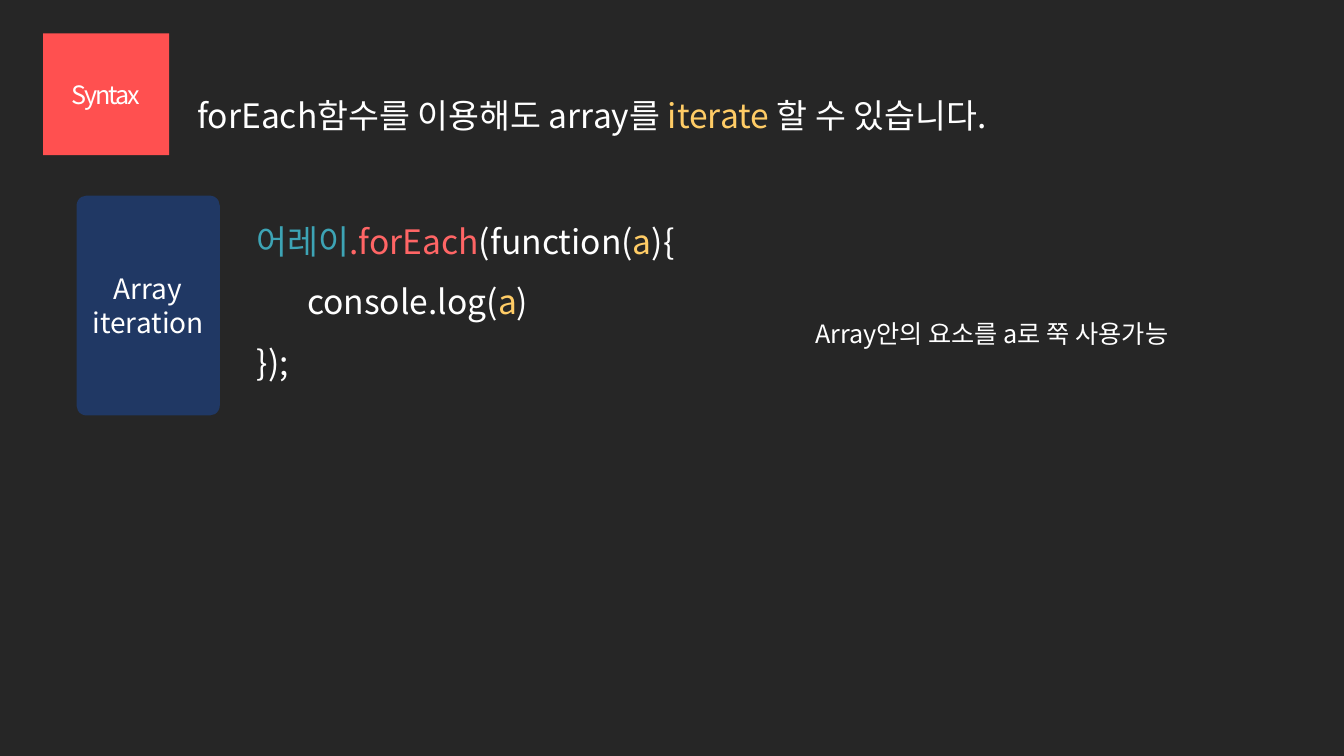
"""Build a slide that explains array iteration with forEach."""
from dataclasses import dataclass
from typing import Any

import lxml.etree
import pptx
import pptx.dml.color
import pptx.enum.shapes
import pptx.enum.text
import pptx.oxml.ns
import pptx.util

Cm = pptx.util.Cm
Pt = pptx.util.Pt
ANCHOR = pptx.enum.text.MSO_ANCHOR
ALIGN = pptx.enum.text.PP_ALIGN
FIT = pptx.enum.text.MSO_AUTO_SIZE

FONT = "Noto Sans CJK KR"
WHITE, YELLOW, TEAL, CORAL = "FFFFFF", "FFCC66", "3DA4B5", "FF6565"
RED, NAVY, DARK = "FF5050", "203864", "262626"

Line = list[tuple[str, str]]


@dataclass
class Block:
    box: tuple[float, float, float, float]
    lines: list[Line]
    size: int
    spacing: float = 1.0
    grow: bool = False


@dataclass
class Badge(Block):
    fill: str = NAVY
    radius: float = 0.0
    tracking: int = 0


TITLE = Block(
    (4.72, 1.75, 25.96, 2.46),
    [[("forEach함수를 이용해도 array를 ", WHITE), ("iterate ", YELLOW), ("할 수 있습니다.", WHITE)]],
    24, 1.5)
BLOCKS = [
    Badge((1.93, 4.93, 3.61, 5.54), [[("Array", WHITE)], [("iteration", WHITE)]], 20, radius=0.07),
    Block(
        (6.22, 4.93, 16.94, 4.88),
        [[("어레이", TEAL), (".forEach", CORAL), ("(function(", WHITE), ("a", YELLOW), ("){", WHITE)],
         [("\tconsole.log(", WHITE), ("a", YELLOW), (")", WHITE)],
         [("});", WHITE)]],
        24, 1.5, True),
    Block((20.29, 7.9, 9.58, 1.02), [[("Array안의 요소를 a로 쭉 사용가능", WHITE)]], 18, grow=True),
    Badge((1.09, 0.84, 3.17, 3.07), [[("Syntax", WHITE)]], 18, fill=RED, tracking=-150),
]


def rgb(value: str) -> pptx.dml.color.RGBColor:
    """Turn a hex string into a colour."""
    return pptx.dml.color.RGBColor.from_string(value)


def set_all(target: Any, values: dict[str, Any]) -> None:
    """Set each named attribute on the target."""
    for name, value in values.items():
        setattr(target, name, value)


def write(sp: Any, block: Block) -> None:
    """Fill a shape with the formatted lines of a block."""
    badge = isinstance(block, Badge)
    tf = sp.text_frame
    set_all(tf, {
        "word_wrap": True,
        "vertical_anchor": ANCHOR.MIDDLE if badge else ANCHOR.TOP,
        "auto_size": FIT.SHAPE_TO_FIT_TEXT if block.grow else FIT.NONE,
    })
    for i, line in enumerate(block.lines):
        p = tf.add_paragraph() if i else tf.paragraphs[0]
        set_all(p, {"alignment": ALIGN.CENTER if badge else ALIGN.LEFT, "line_spacing": block.spacing})
        for text, color in line:
            r = p.add_run()
            r.text = text
            set_all(r.font, {"size": Pt(block.size), "name": FONT})
            r.font.color.rgb = rgb(color)
            props = r._r.get_or_add_rPr()
            lxml.etree.SubElement(props, pptx.oxml.ns.qn("a:ea"), typeface=FONT)
            if badge and block.tracking:
                props.set("spc", str(block.tracking))


def add_block(s: Any, block: Block) -> None:
    """Add a badge or a plain text box to the slide."""
    box = [Cm(v) for v in block.box]
    if isinstance(block, Badge):
        sp = s.shapes.add_shape(pptx.enum.shapes.MSO_SHAPE.ROUNDED_RECTANGLE, *box)
        sp.adjustments[0] = block.radius
        sp.shadow.inherit = False
        sp.fill.solid()
        sp.fill.fore_color.rgb = rgb(block.fill)
        sp.line.fill.background()
    else:
        sp = s.shapes.add_textbox(*box)
    write(sp, block)


def main() -> None:
    """Build and save the presentation."""
    prs = pptx.Presentation()
    set_all(prs, {"slide_width": Cm(33.87), "slide_height": Cm(19.05)})
    s = prs.slides.add_slide(prs.slide_layouts[5])
    s.background.fill.solid()
    s.background.fill.fore_color.rgb = rgb(DARK)
    title = s.shapes.title
    set_all(title, dict(zip(("left", "top", "width", "height"), map(Cm, TITLE.box))))
    write(title, TITLE)
    for block in BLOCKS:
        add_block(s, block)
    prs.save("out.pptx")


if __name__ == "__main__":
    main()
